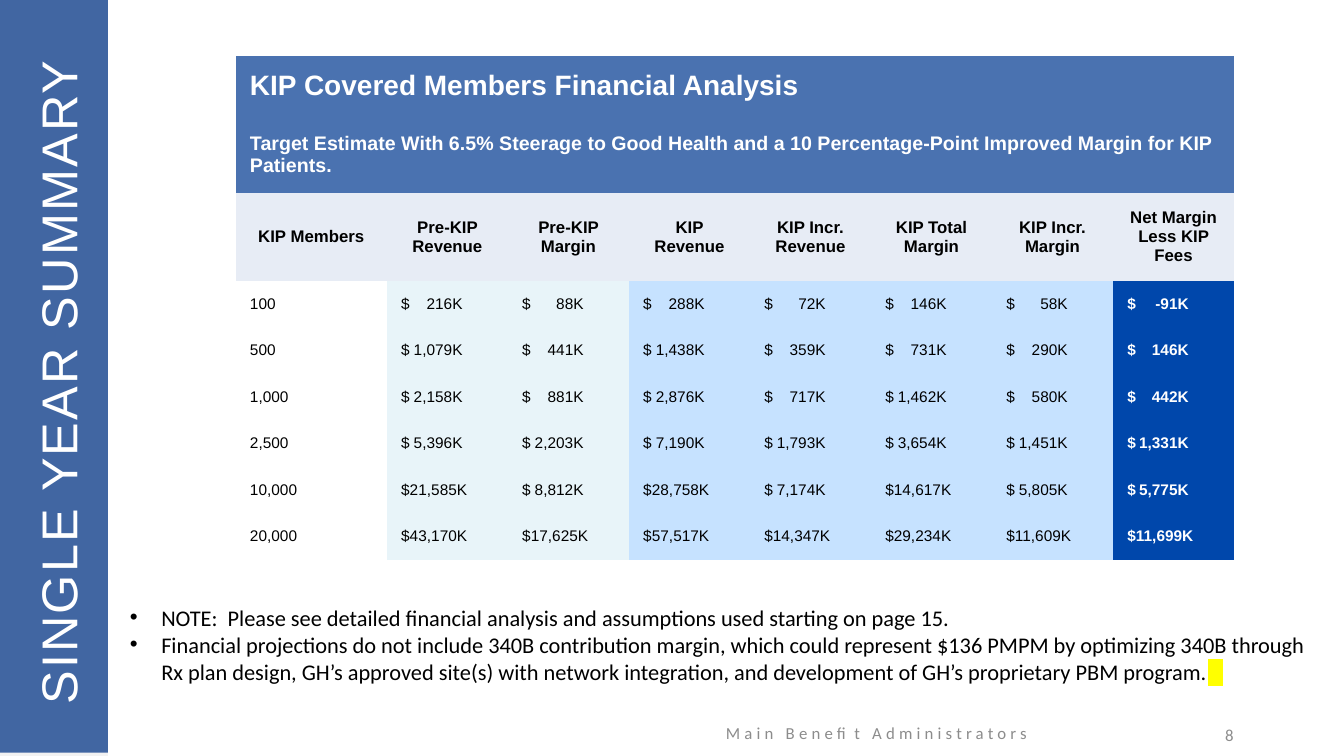
from lxml import etree
from pptx import Presentation
from pptx.dml.color import RGBColor
from pptx.enum import shapes, text
from pptx.oxml import ns
from pptx.util import Cm, Pt

WHITE, BLACK, GREY = "FFFFFF", "000000", "8C8C8C"
BANNER, HEADING = "4A72B0", "E7ECF5"
COLUMN_FILLS = [None] + ["E8F4F9"] * 2 + ["C6E2FF"] * 4 + ["0047AB"]
HEADINGS = ["KIP Members", "Pre-KIP Revenue", "Pre-KIP Margin", "KIP Revenue",
            "KIP Incr. Revenue", "KIP Total Margin", "KIP Incr. Margin",
            "Net Margin Less KIP Fees"]
RESULTS = [
    ["100", "216", "88", "288", "72", "146", "58", "-91"],
    ["500", "1,079", "441", "1,438", "359", "731", "290", "146"],
    ["1,000", "2,158", "881", "2,876", "717", "1,462", "580", "442"],
    ["2,500", "5,396", "2,203", "7,190", "1,793", "3,654", "1,451", "1,331"],
    ["10,000", "21,585", "8,812", "28,758", "7,174", "14,617", "5,805", "5,775"],
    ["20,000", "43,170", "17,625", "57,517", "14,347", "29,234", "11,609", "11,699"],
]
NOTES = [
    "NOTE:  Please see detailed financial analysis and assumptions used starting on page 15.",
    "Financial projections do not include 340B contribution margin, which could represent "
    "$136 PMPM by optimizing 340B through Rx plan design, GH’s approved site(s) with network "
    "integration, and development of GH’s proprietary PBM program.",
]


def colour(value):
    return RGBColor.from_string(value)


def add_xml(parent, tag, **attributes):
    return etree.SubElement(parent, ns.qn(tag), attributes)


def write(para, words, size=12, font="Arial", fill=BLACK, bold=False,
          align=text.PP_ALIGN.LEFT, spacing=None, highlight=None):
    """Append one formatted span to a paragraph."""
    para.alignment = align
    span = para.add_run()
    span.text = words
    span.font.size, span.font.bold = Pt(size), bold
    span.font.color.rgb = colour(fill)
    properties = span.font._element
    if highlight:
        marker = add_xml(properties, "a:highlight")
        add_xml(marker, "a:srgbClr", val=highlight)
    span.font.name = font
    if spacing:
        properties.set("spc", str(int(spacing * 100)))


def place(shape, left, top, width, height):
    shape.left, shape.top = Cm(left), Cm(top)
    shape.width, shape.height = Cm(width), Cm(height)


def add_band(page, top, fill, layer, opacity=None):
    """Add a side band at the given depth of the shape stack."""
    band = page.shapes.add_shape(shapes.MSO_SHAPE.RECTANGLE,
                                 Cm(0), Cm(top), Cm(2.72), Cm(19.05))
    band.shadow.inherit = False
    band.line.fill.background()
    band.fill.solid()
    band.fill.fore_color.rgb = colour(fill)
    if opacity:
        shade = band._element.spPr.find(".//" + ns.qn("a:srgbClr"))
        add_xml(shade, "a:alpha", val=str(opacity * 1000))
    page.shapes._spTree.insert(2 + layer, band._element)


def add_footer(page, words, left, top, width, **style):
    box = page.shapes.add_textbox(Cm(left), Cm(top), Cm(width), Cm(1.02))
    frame = box.text_frame
    frame.word_wrap = True
    frame.vertical_anchor = text.MSO_ANCHOR.MIDDLE
    write(frame.paragraphs[0], words, font="Calibri", fill=GREY, **style)


def format_title(title):
    place(title, -7.09, 8.43, 17.07, 2.08)
    title.rotation = 270
    frame = title.text_frame
    frame.auto_size = text.MSO_AUTO_SIZE.NONE
    frame.vertical_anchor = text.MSO_ANCHOR.MIDDLE
    write(frame.paragraphs[0], "SINGLE YEAR SUMMARY", size=36, fill=WHITE, spacing=1.5)


def format_notes(body):
    place(body, 3.02, 15.09, 30.23, 2.31)
    frame = body.text_frame
    frame.auto_size = text.MSO_AUTO_SIZE.NONE
    for number, note in enumerate(NOTES):
        para = frame.add_paragraph() if number else frame.paragraphs[0]
        para.space_before = Pt(0)
        properties = para._p.get_or_add_pPr()
        properties.set("marL", str(Cm(0.79)))
        properties.set("indent", str(-Cm(0.79)))
        add_xml(properties, "a:buFont", typeface="Arial")
        add_xml(properties, "a:buChar", char="•")
        write(para, note, size=16, font="Calibri")
    write(para, "   ", size=16, font="Calibri", highlight="FFFF00")


def fill_cell(cell, words, back, **style):
    cell.margin_left = cell.margin_right = Cm(0.36)
    cell.margin_top = cell.margin_bottom = 0
    cell.vertical_anchor = text.MSO_ANCHOR.MIDDLE
    if back:
        cell.fill.solid()
        cell.fill.fore_color.rgb = colour(back)
    else:
        cell.fill.background()
    para = cell.text_frame.paragraphs[0]
    if "\t" in words:
        stops = add_xml(para._p.get_or_add_pPr(), "a:tabLst")
        add_xml(stops, "a:tab", pos=str(Cm(1.55)), algn="r")
    write(para, words, **style)


def dollars(amount):
    """Set short amounts flush right after the dollar sign."""
    gap = "" if len(amount) == 6 else "\t"
    return f"${gap}{amount}K"


def add_analysis(page):
    widths = [3.81] + [3.05] * 7
    heights = [1.52, 1.94, 2.22] + [1.17] * len(RESULTS)
    frame = page.shapes.add_table(len(heights), len(widths), Cm(5.94), Cm(1.4),
                                  Cm(sum(widths)), Cm(sum(heights)))
    table = frame.table
    table.first_row = table.horz_banding = False
    style = table._tbl.tblPr.find(ns.qn("a:tableStyleId"))
    style.text = "{2D5ABB26-0587-4C30-8999-92F81FD0307C}"
    for column, width in zip(table.columns, widths):
        column.width = Cm(width)
    for row, height in zip(table.rows, heights):
        row.height = Cm(height)

    banners = [("KIP Covered Members Financial Analysis", 20),
               ("Target Estimate With 6.5% Steerage to Good Health and a 10 "
                "Percentage-Point Improved Margin for KIP Patients.", 14)]
    for row, (words, size) in enumerate(banners):
        table.cell(row, 0).merge(table.cell(row, len(widths) - 1))
        fill_cell(table.cell(row, 0), words, BANNER, size=size, fill=WHITE, bold=True)
    for column, heading in enumerate(HEADINGS):
        fill_cell(table.cell(2, column), heading, HEADING, bold=True,
                  align=text.PP_ALIGN.CENTER)
    for row, result in enumerate(RESULTS, 3):
        for column, (amount, back) in enumerate(zip(result, COLUMN_FILLS)):
            is_net = column == len(widths) - 1
            fill_cell(table.cell(row, column), dollars(amount) if column else amount, back,
                      size=11, fill=WHITE if is_net else BLACK, bold=is_net)


def main():
    deck = Presentation()
    deck.slide_width, deck.slide_height = Cm(33.87), Cm(19.05)
    page = deck.slides.add_slide(deck.slide_layouts[1])
    add_band(page, 0, "F2F2F2", layer=0)
    add_band(page, -0.08, "254F96", layer=1, opacity=86)
    format_title(page.shapes.title)
    format_notes(page.placeholders[1])
    add_analysis(page)
    add_footer(page, "Main Benefit Administrators", 16.38, 17.96, 11.43,
               align=text.PP_ALIGN.CENTER, spacing=3)
    add_footer(page, "8", 23.72, 18.01, 7.62, align=text.PP_ALIGN.RIGHT)
    deck.save("out.pptx")


if __name__ == "__main__":
    main()
